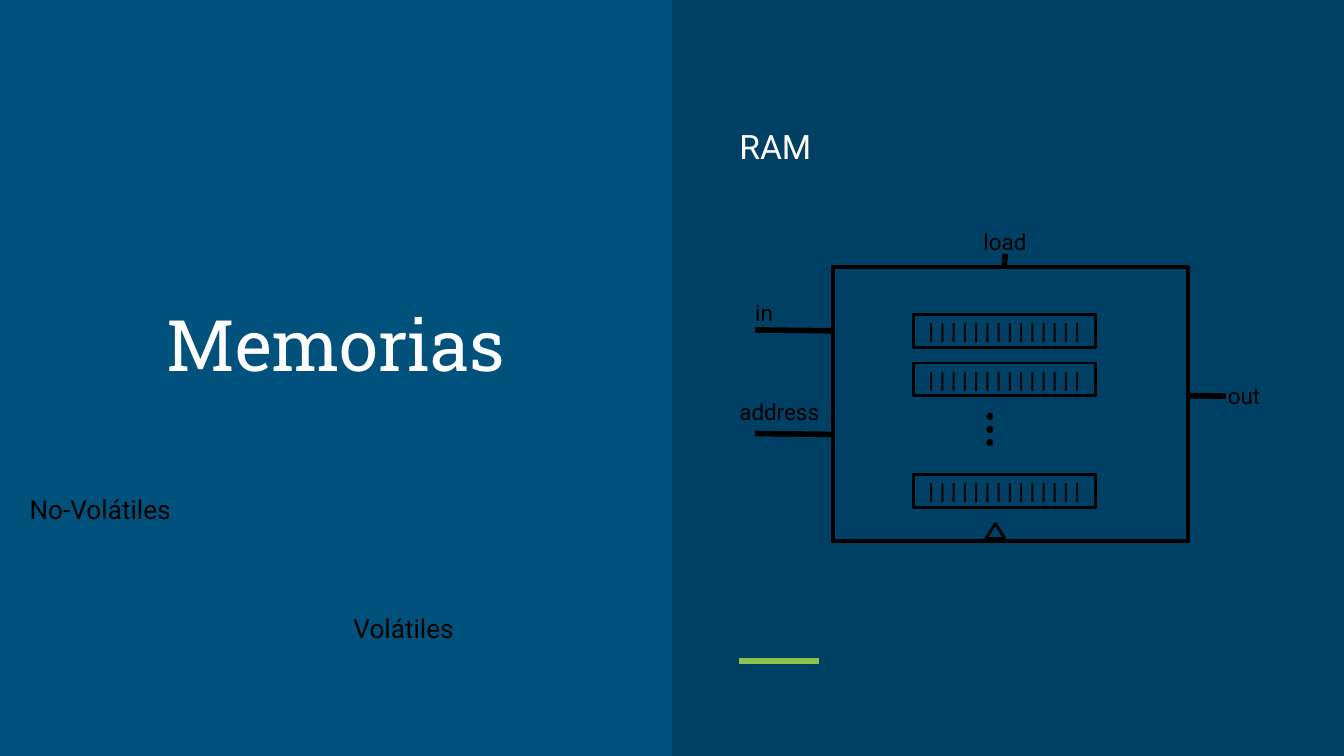
from lxml import etree
from pptx import Presentation
from pptx.dml.color import RGBColor
from pptx.enum.shapes import MSO_CONNECTOR, MSO_SHAPE
from pptx.enum.text import MSO_ANCHOR, PP_ALIGN
from pptx.oxml.ns import qn
from pptx.util import Pt

BLACK, WHITE = "000000", "FFFFFF"
color = RGBColor.from_string

deck = Presentation()
deck.slide_width, deck.slide_height = Pt(720), Pt(405)
slide = deck.slides.add_slide(deck.slide_layouts[6])
slide.background.fill.solid()
slide.background.fill.fore_color.rgb = color("00517C")


def write(shape, text, size, ink=BLACK, font="Roboto", bold=False,
          align=PP_ALIGN.LEFT, anchor=MSO_ANCHOR.TOP):
    frame = shape.text_frame
    frame.word_wrap = True
    frame.vertical_anchor = anchor
    frame.margin_left = frame.margin_right = Pt(7.2)
    frame.margin_top = frame.margin_bottom = Pt(7.2)
    paragraph = frame.paragraphs[0]
    paragraph.alignment = align
    run = paragraph.add_run()
    run.text = text
    run.font.size, run.font.name, run.font.bold = Pt(size), font, bold
    run.font.color.rgb = color(ink)
    return paragraph


def outline(kind, left, top, width, height, weight):
    shape = slide.shapes.add_shape(kind, Pt(left), Pt(top), Pt(width), Pt(height))
    shape.shadow.inherit = False
    shape.fill.background()
    shape.line.color.rgb = color(BLACK)
    shape.line.width = Pt(weight)
    return shape


# Right half
panel = slide.shapes.add_shape(MSO_SHAPE.RECTANGLE, Pt(360), 0, Pt(360), Pt(405))
panel.shadow.inherit = False
panel.fill.solid()
panel.fill.fore_color.rgb = color("004065")
panel.line.fill.background()

# Title and heading
title = slide.shapes.add_textbox(Pt(21), Pt(95), Pt(318), Pt(119))
write(title, "Memorias", 38, WHITE, "Roboto Slab",
      align=PP_ALIGN.CENTER, anchor=MSO_ANCHOR.BOTTOM)
heading = slide.shapes.add_textbox(Pt(389), Pt(57), Pt(302), Pt(291))
ram = write(heading, "RAM", 18, WHITE)
ram.line_spacing, ram.space_after = 1.15, Pt(16)

# Memory chip with its registers and clock mark
outline(MSO_SHAPE.RECTANGLE, 446.25, 143, 190.25, 147, 2.25)
for top in (168.5, 194.5, 254.25):
    register = outline(MSO_SHAPE.RECTANGLE, 489.25, top, 97.75, 17.5, 1.5)
    write(register, " ".join("|" * 14), 12, bold=True,
          align=PP_ALIGN.CENTER, anchor=MSO_ANCHOR.MIDDLE)
outline(MSO_SHAPE.ISOSCELES_TRIANGLE, 528.25, 280.5, 10, 8, 1.5)

# Vertical ellipsis between registers
ellipsis = slide.shapes.add_textbox(Pt(518.5), Pt(218), Pt(39.5), Pt(29))
ellipsis.rotation = 90
write(ellipsis, "...", 24, bold=True, anchor=MSO_ANCHOR.MIDDLE)

# Pins, and the green accent under the chip
for x1, y1, x2, y2, ink in [
    (538.5, 136, 538, 143, BLACK),
    (446.25, 177.25, 404.5, 176.75, BLACK),
    (446.25, 232.75, 404.5, 232.25, BLACK),
    (636.5, 212, 656.75, 212.25, BLACK),
    (396, 354, 438.75, 354, "8BC34A"),
]:
    pin = slide.shapes.add_connector(MSO_CONNECTOR.STRAIGHT, Pt(x1), Pt(y1), Pt(x2), Pt(y2))
    pin.line.color.rgb = color(ink)
    pin.line.width = Pt(3)
    etree.SubElement(pin._element.spPr, qn("a:effectLst"))

# Pin names and kinds of memory
for text, left, top, width, height, size in [
    ("load", 519.75, 115.25, 43, 18, 12),
    ("out", 650.75, 197.25, 35.25, 18, 12),
    ("in", 397.5, 153.25, 29, 18, 12),
    ("address", 389, 206, 65, 18, 12),
    ("Volátiles", 182.25, 321, 320.5, 37.5, 14),
    ("No-Volátiles", 8.75, 257, 320.5, 37.5, 14),
]:
    label = slide.shapes.add_textbox(Pt(left), Pt(top), Pt(width), Pt(height))
    write(label, text, size)

deck.save("out.pptx")
